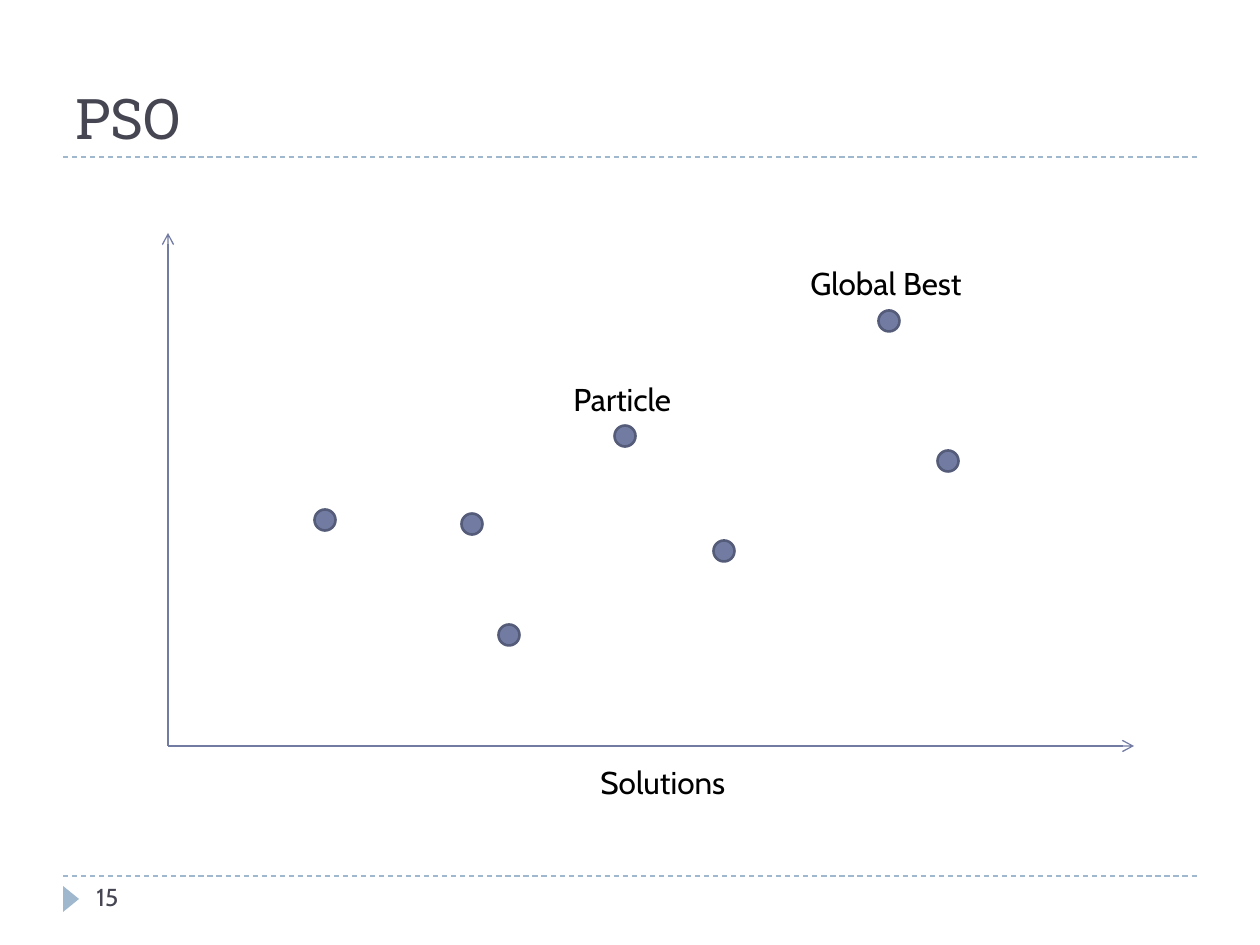
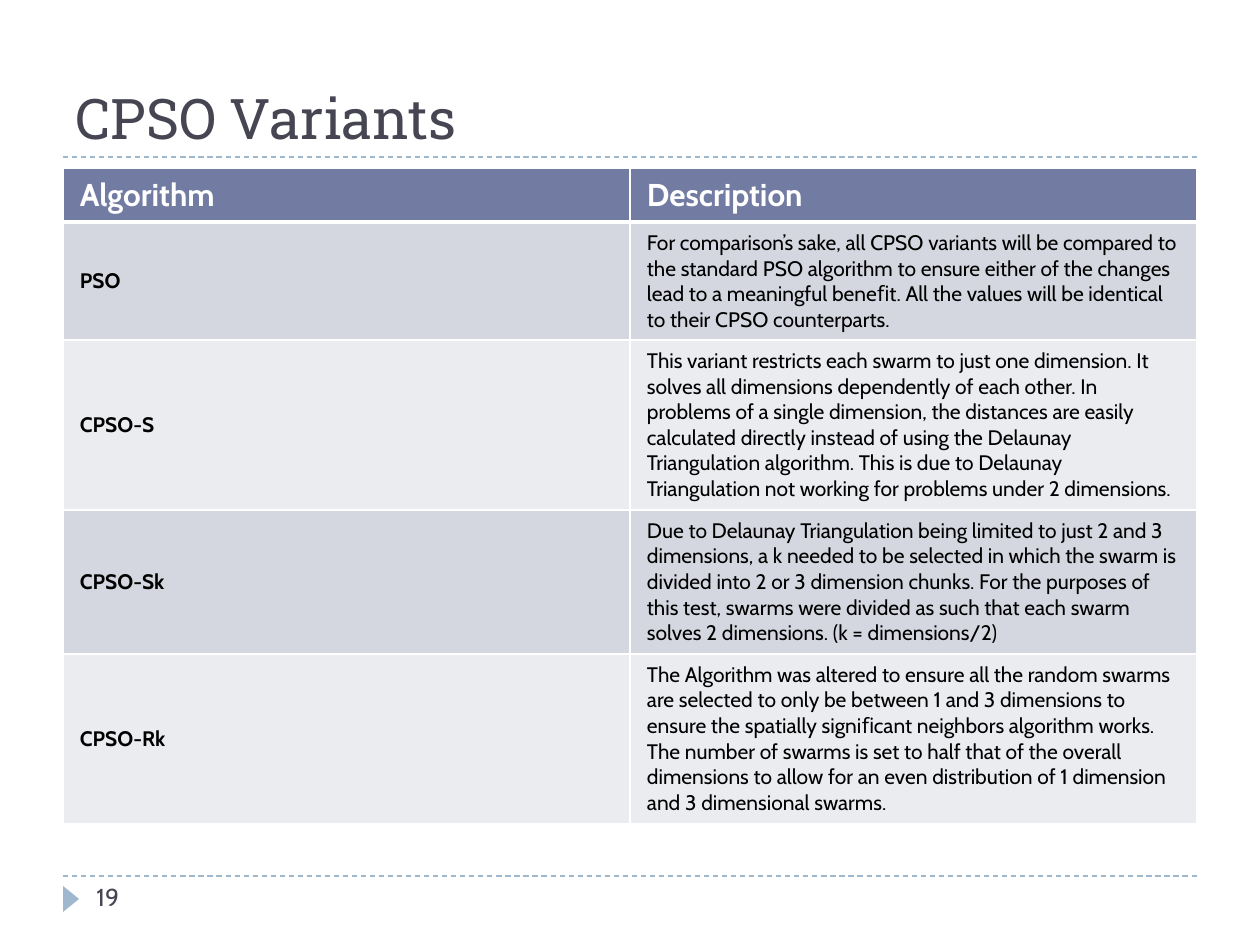
from lxml.etree import SubElement
from pptx import Presentation
from pptx.dml.color import RGBColor
from pptx.enum.dml import MSO_LINE
from pptx.enum.shapes import MSO_CONNECTOR, MSO_SHAPE
from pptx.enum.text import MSO_ANCHOR
from pptx.oxml.ns import qn
from pptx.util import Inches, Pt

# Content
PLOT_TITLE, PLOT_NUMBER = "PSO", "15"
PARTICLE_CENTRES = [(325, 520), (472, 524), (509, 635), (724, 551),
                    (948, 461), (889, 321), (625, 436)]
# text, left, top, width, wrapped
PLOT_LABELS = [
    ("Particle", 561, 374, 127, False),
    ("Global Best", 798, 258, 179, False),
    ("Solutions", 588, 757, 168, True),
]
VARIANTS_TITLE, VARIANTS_NUMBER = "CPSO Variants", "19"
VARIANTS = [
    ("Algorithm", "Description"),
    ("PSO", "For comparison’s sake, all CPSO variants will be compared to the "
     "standard PSO algorithm to ensure either of the changes lead to a "
     "meaningful beneﬁt. All the values will be identical to their CPSO "
     "counterparts."),
    ("CPSO-S", "This variant restricts each swarm to just one dimension. It "
     "solves all dimensions dependently of each other. In problems of a single "
     "dimension, the distances are easily calculated directly instead of using "
     "the Delaunay Triangulation algorithm. This is due to Delaunay "
     "Triangulation not working for problems under 2 dimensions."),
    ("CPSO-Sk", "Due to Delaunay Triangulation being limited to just 2 and 3 "
     "dimensions, a k needed to be selected in which the swarm is divided into "
     "2 or 3 dimension chunks. For the purposes of this test, swarms were "
     "divided as such that each swarm solves 2 dimensions. (k = dimensions/2)"),
    ("CPSO-Rk", "The Algorithm was altered to ensure all the random swarms are "
     "selected to only be between 1 and 3 dimensions to ensure the spatially "
     "signiﬁcant neighbors algorithm works. The number of swarms is set to half "
     "that of the overall dimensions to allow for an even distribution of 1 "
     "dimension and 3 dimensional swarms."),
]
ROW_HEIGHTS = [54, 118, 170, 144, 170]

# Look
TITLE_FONT, BODY_FONT = "Roboto Slab", "Cabin"
INK = RGBColor(0x46, 0x46, 0x53)
BLACK = RGBColor(0, 0, 0)
WHITE = RGBColor(0xFF, 0xFF, 0xFF)
PALE_BLUE = RGBColor(0x9F, 0xB8, 0xCD)
SLATE = RGBColor(0x72, 0x7C, 0xA3)
SLATE_EDGE = RGBColor(0x54, 0x5C, 0x79)
ROW_FILLS = [RGBColor(0xEB, 0xEC, 0xF0), RGBColor(0xD5, 0xD7, 0xE0)]

LEFT, WIDTH = 63, 1134
TITLE_RULE, FOOTER_RULE = 157, 876
ORIGIN, AXIS_TOP, AXIS_RIGHT = (168, 746), (168, 233), (1134, 746)
DOT = 21
PX_PER_INCH = 126


def px(value):
    return Inches(value / PX_PER_INCH)


def style(para, size, color, font=BODY_FONT, bold=False):
    for span in para.runs:
        span.font.name = font
        span.font.size = Pt(size)
        span.font.bold = bold
        span.font.color.rgb = color


def add_text(page, text, place, size, color, font=BODY_FONT,
             anchor=MSO_ANCHOR.TOP, wrap=True):
    box = page.shapes.add_textbox(*map(px, place))
    frame = box.text_frame
    frame.text = text
    frame.word_wrap = wrap
    frame.vertical_anchor = anchor
    style(frame.paragraphs[0], size, color, font)


def add_line(page, start, end, color, dashed=False, arrow=False):
    line = page.shapes.add_connector(MSO_CONNECTOR.STRAIGHT,
                                     *map(px, start + end))
    line.line.color.rgb = color
    line.line.width = Pt(0.75)
    if dashed:
        line.line.dash_style = MSO_LINE.DASH
    properties = line._element.spPr
    if arrow:
        SubElement(properties.find(qn("a:ln")), qn("a:tailEnd"), type="arrow")
    SubElement(properties, qn("a:effectLst"))


def add_solid(page, kind, place, fill, edge=None):
    shape = page.shapes.add_shape(kind, *map(px, place))
    shape.shadow.inherit = False
    shape.fill.solid()
    shape.fill.fore_color.rgb = fill
    if edge is None:
        shape.line.fill.background()
    else:
        shape.line.color.rgb = edge
        shape.line.width = Pt(1.5)
    return shape


def add_page(deck, title, number):
    page = deck.slides.add_slide(deck.slide_layouts[6])
    for y in (FOOTER_RULE, TITLE_RULE):
        add_line(page, (LEFT, y), (LEFT + WIDTH, y), PALE_BLUE, dashed=True)
    marker = add_solid(page, MSO_SHAPE.ISOSCELES_TRIANGLE, (58, 891, 26, 16),
                       PALE_BLUE)
    marker.rotation = 90
    add_text(page, title, (LEFT, 21, WIDTH, 136), 32, INK, TITLE_FONT,
             MSO_ANCHOR.BOTTOM)
    add_text(page, number, (84, FOOTER_RULE, 273, 50), 14, INK)
    return page


def set_borders(cell, widths):
    properties = cell._tc.get_or_add_tcPr()
    for side, width in widths.items():
        border = SubElement(properties, qn(f"a:ln{side}"), w=str(Pt(width)))
        fill = SubElement(border, qn("a:solidFill"))
        SubElement(fill, qn("a:srgbClr"), val=str(WHITE))


def add_plot(page):
    for tip in (AXIS_TOP, AXIS_RIGHT):
        add_line(page, ORIGIN, tip, SLATE, arrow=True)
    for x, y in PARTICLE_CENTRES:
        add_solid(page, MSO_SHAPE.OVAL, (x - DOT / 2, y - DOT / 2, DOT, DOT),
                  SLATE, SLATE_EDGE)
    for text, left, top, width, wrap in PLOT_LABELS:
        add_text(page, text, (left, top, width, 50), 18, BLACK, wrap=wrap)


def add_variants(page):
    place = (LEFT, 168, WIDTH, sum(ROW_HEIGHTS))
    table = page.shapes.add_table(len(VARIANTS), 2, *map(px, place)).table
    table.horz_banding = False
    for row, height in zip(table.rows, ROW_HEIGHTS):
        row.height = px(height)
    for r, texts in enumerate(VARIANTS):
        header = r == 0
        for c, text in enumerate(texts):
            cell = table.cell(r, c)
            cell.text_frame.text = text
            cell.vertical_anchor = MSO_ANCHOR.MIDDLE
            cell.margin_left = cell.margin_right = px(17)
            cell.margin_top = cell.margin_bottom = px(8)
            set_borders(cell, {"L": 1, "R": 1, "T": 3 if r == 1 else 1,
                               "B": 3 if header else 1})
            cell.fill.solid()
            cell.fill.fore_color.rgb = SLATE if header else ROW_FILLS[r % 2]
            style(cell.text_frame.paragraphs[0], 18 if header else 12,
                  WHITE if header else BLACK, bold=header or c == 0)


def main():
    deck = Presentation()
    deck.slide_width, deck.slide_height = px(1260), px(945)
    add_plot(add_page(deck, PLOT_TITLE, PLOT_NUMBER))
    add_variants(add_page(deck, VARIANTS_TITLE, VARIANTS_NUMBER))
    deck.save("out.pptx")


if __name__ == "__main__":
    main()
